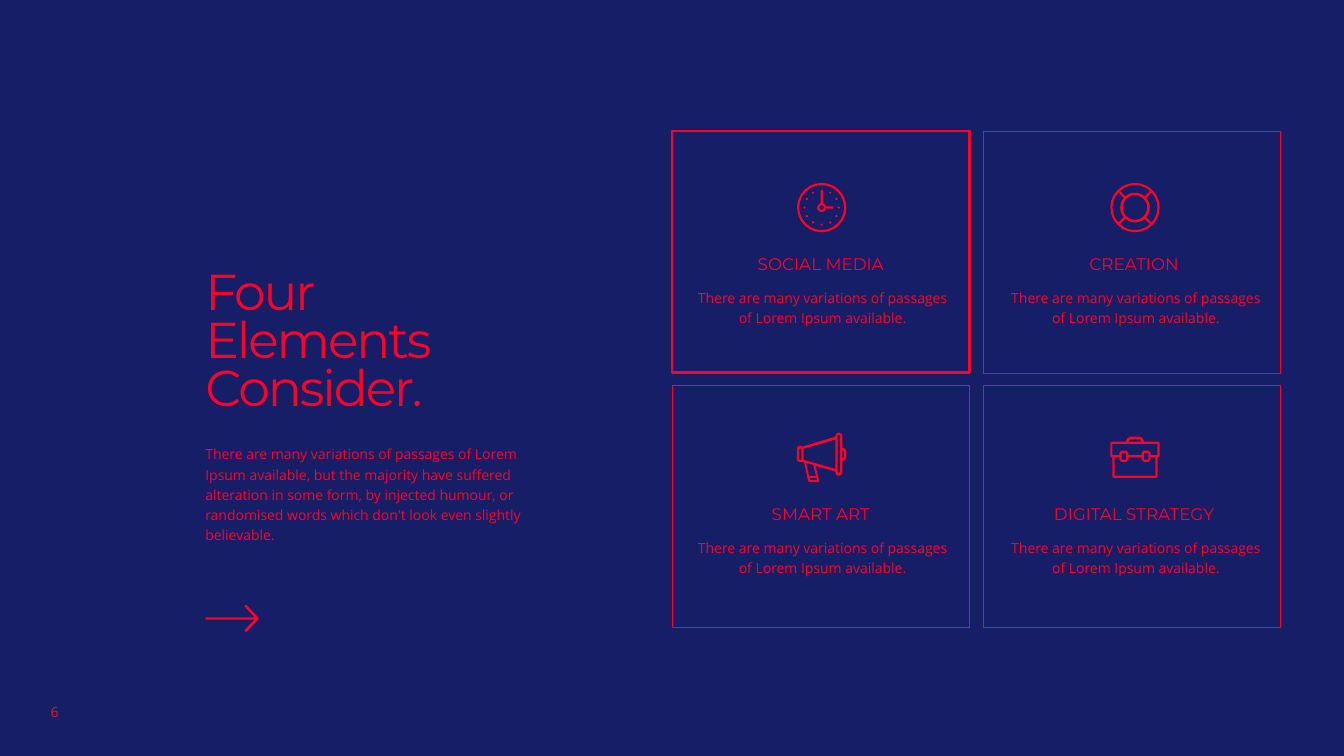
import math
from dataclasses import dataclass

import pptx
import pptx.dml.color
import pptx.enum.shapes
import pptx.enum.text
import pptx.util

SHAPE = pptx.enum.shapes.MSO_SHAPE
ALIGN = pptx.enum.text.PP_ALIGN


@dataclass(frozen=True)
class Theme:
    navy = pptx.dml.color.RGBColor.from_string("151E67")
    red = pptx.dml.color.RGBColor.from_string("FF0028")
    heading = "Montserrat"
    body = "Open Sans"
    title_size = 36
    label_size = 12
    text_size = 10
    strong_border = 2
    thin_border = 0.5


THEME = Theme()
COLS, ROWS = 160, 90
CELL = pptx.util.Inches(7.5) / ROWS
ICON_UNIT = pptx.util.Inches(0.01)
ICON_SIZE = 49 * ICON_UNIT / CELL


def cells(*counts):
    return [round(n * CELL) for n in counts]


def add_text(slide, box, text, size, font, spacing=1.0, align=ALIGN.LEFT, top=0.05, tracking=0):
    s = slide.shapes.add_textbox(*cells(*box))
    tf = s.text_frame
    tf.word_wrap = True
    tf.margin_left = tf.margin_right = 0
    tf.margin_top, tf.margin_bottom = pptx.util.Inches(top), pptx.util.Inches(0.05)
    p = tf.paragraphs[0]
    p.text = text
    p.alignment = align
    p.line_spacing = spacing
    p.font.size = pptx.util.Pt(size)
    p.font.name = font
    p.font.color.rgb = THEME.red
    if tracking:
        for r in p.runs:
            r._r.get_or_add_rPr().set("spc", str(tracking))


def arc(radius, start=0, end=360, steps=24, center=(24.5, 24.5)):
    angles = [math.radians(start + (end - start) * i / steps) for i in range(steps + 1)]
    return [(center[0] + radius * math.cos(a), center[1] + radius * math.sin(a)) for a in angles]


def rect(left, top, right, bottom):
    return [(left, top), (right, top), (right, bottom), (left, bottom)]


def clock():
    rings = [arc(24.5), arc(22.3), arc(4.5, steps=12), arc(2.3, steps=12)]
    hands = [rect(23.4, 7, 25.6, 20), rect(29, 23.4, 36, 25.6)]
    marks = [arc(1.1, steps=6, center=arc(17, steps=12)[hour]) for hour in range(12) if hour != 9]
    return rings + hands + marks


def lifebuoy():
    """Disc with a round hole and four cut-out sectors between the spokes."""
    inner, outer, half_spoke = 14.7, 22.3, 1.1
    sectors = []
    for middle in range(0, 360, 90):
        edges = []
        for radius in (outer, inner):
            reach = 45 - math.degrees(math.asin(half_spoke / radius))
            edges.append(arc(radius, middle - reach, middle + reach, 6))
        sectors.append(edges[0] + edges[1][::-1])
    return [arc(24.5), arc(12.2)] + sectors


def megaphone():
    silhouette = [
        (45, 15), (45, 3), (44, 1), (41.5, 0), (39, 1), (38, 3), (38, 4), (5, 14), (4, 13),
        (2, 13), (0.5, 14), (0, 16), (0, 27), (0.5, 28.5), (2, 29), (7, 29), (11, 48), (12, 49),
        (21, 49), (22, 48), (18.5, 33), (38, 38.5), (38, 39), (39, 42), (41.5, 43), (44, 42),
        (45, 39), (45, 28), (48, 27), (49, 24), (49, 19), (48, 16)]
    ear = [(45, 17), (46.5, 19), (46.5, 24), (45, 26)]
    rim = [(40.3, 3), (41.5, 2), (42.7, 3), (42.7, 39), (41.5, 40), (40.3, 39)]
    cone = [(38, 36), (6.5, 27), (6.5, 16), (38, 7)]
    grip = [(19, 43), (12, 43), (9, 30), (16, 32)]
    foot = [(20, 47), (13, 47), (12.5, 45), (19.5, 45)]
    return [silhouette, ear, rim, cone, grip, foot, rect(2.2, 16, 4.3, 27)]


def mirrored(half):
    """Adds the right half of an outline that runs along its left half."""
    return half + [(49 - x, y) for x, y in reversed(half)]


def briefcase():
    silhouette = mirrored([
        (20, 0), (17, 1.5), (15.5, 5), (2, 5), (0.5, 5.5), (0, 7), (0, 18.5), (0.5, 20),
        (2, 20.7), (2, 39), (2.6, 40.4), (4, 41)])
    lid = mirrored([(2.2, 7.2), (2.2, 18.5), (9, 18.5), (9, 16), (11, 14), (16, 14), (18, 16), (18, 18.5)])
    body = mirrored([(4.3, 38.7), (4.3, 20.7), (9, 20.7), (9, 23), (11, 25), (16, 25), (18, 23), (18, 20.7)])
    handle = mirrored([(18, 5), (20, 2.5)])
    parts = [silhouette, lid, body, handle, rect(11.2, 16.2, 15.8, 22.8), rect(33.2, 16.2, 37.8, 22.8)]
    return [[(x, y + 4) for x, y in part] for part in parts]


def arrow():
    upper = [(0, 13.5), (0.5, 12.4), (49, 12.4), (39, 2), (39.4, 0.3), (41, 0.3), (53, 13)]
    return [upper + [(x, 27 - y) for x, y in reversed(upper)]]


def add_icon(slide, left, top, contours):
    """One filled outline; contours are in hundredths of an inch, inner ones cut holes."""
    x0, y0 = cells(left, top)
    builder = None
    for contour in contours:
        start, *rest = [(round(x0 + x * ICON_UNIT), round(y0 + y * ICON_UNIT)) for x, y in contour]
        if builder is None:
            builder = slide.shapes.build_freeform(*start)
        else:
            builder.move_to(*start)
        builder.add_line_segments(rest, close=True)
    s = builder.convert_to_shape()
    s.shadow.inherit = False
    s.fill.solid()
    s.fill.fore_color.rgb = THEME.red
    s.line.fill.background()


def add_card(slide, box, border):
    s = slide.shapes.add_shape(SHAPE.RECTANGLE, *cells(*box))
    s.shadow.inherit = False
    s.fill.background()
    s.line.color.rgb = THEME.red
    s.line.width = pptx.util.Pt(border)


def add_element(slide, left, top, width, label, icon):
    """Icon over a label and two lines of text, all centred in the width."""
    add_icon(slide, left + (width - ICON_SIZE) / 2 + 0.1, top, icon())
    add_text(slide, (left, top + 8.5, width, 3.1), label,
             THEME.label_size, THEME.heading, 0.7, ALIGN.CENTER)
    add_text(slide, (left + 0.2, top + 11.73, width, 6),
             "There are many variations of passages of Lorem Ipsum available.",
             THEME.text_size, THEME.body, 1.2, ALIGN.CENTER)


def add_elements(slide, left, top):
    elements = [("SOCIAL MEDIA", clock), ("CREATION", lifebuoy),
                ("SMART ART", megaphone), ("DIGITAL STRATEGY", briefcase)]
    for i, (label, icon) in enumerate(elements):
        row, col = divmod(i, 2)
        border = THEME.thin_border if i else THEME.strong_border
        add_card(slide, (left + 37.06 * col, top + 30.3 * row, 35.4, 28.8), border)
        add_element(slide, left + 1.97 + 37.3 * col, top + 6.17 + 29.73 * row, 31.5, label, icon)


def add_intro(slide, left, top):
    add_text(slide, (left, top, 55.4, 21.2), "Four\vElements\vConsider.",
             THEME.title_size, THEME.heading, 0.8, top=0.21, tracking=-150)
    add_text(slide, (left, top + 22.3, 42, 13.2),
             "There are many variations of passages of Lorem Ipsum available, but the majority "
             "have suffered alteration in some form, by injected humour, or randomised words "
             "which don't look even slightly believable.",
             THEME.text_size, THEME.body, 1.2)
    add_icon(slide, left, top + 42.2, arrow())


def main():
    prs = pptx.Presentation()
    prs.slide_width, prs.slide_height = cells(COLS, ROWS)
    slide = prs.slides.add_slide(prs.slide_layouts[6])
    slide.background.fill.solid()
    slide.background.fill.fore_color.rgb = THEME.navy
    add_intro(slide, 24.45, 29.8)
    add_elements(slide, 80, 15.6)
    add_text(slide, (3.15, 83.2, 6.7, 3), "6", THEME.text_size, THEME.body, align=ALIGN.CENTER)
    prs.save("out.pptx")


if __name__ == "__main__":
    main()
